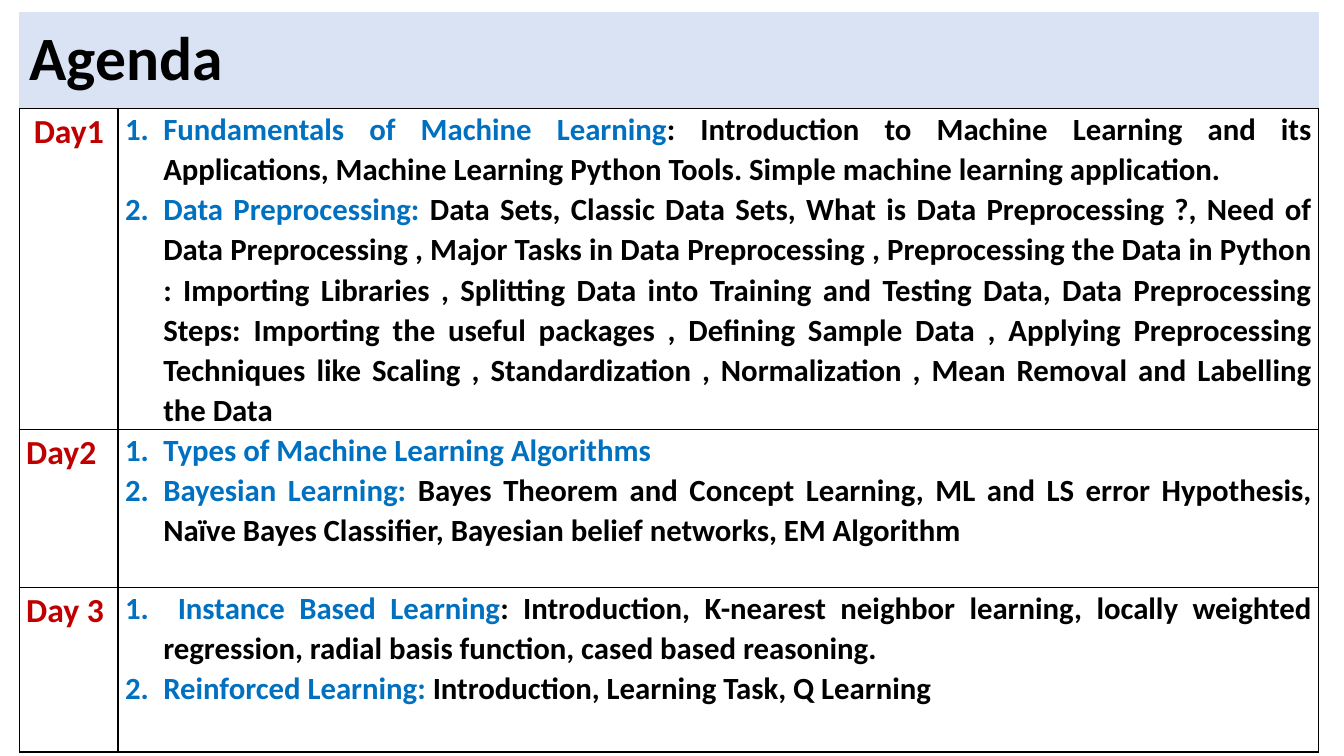
"""Build the three-day machine learning agenda slide."""
from lxml import etree
from pptx import Presentation
from pptx.dml.color import RGBColor
from pptx.enum.text import MSO_ANCHOR, MSO_AUTO_SIZE, PP_ALIGN
from pptx.oxml.ns import qn
from pptx.util import Inches, Pt

JUSTIFY, LEFT = PP_ALIGN.JUSTIFY, PP_ALIGN.LEFT
MIDDLE = MSO_ANCHOR.MIDDLE
NO_AUTOFIT = MSO_AUTO_SIZE.NONE

FONT = "Calibri"
BLACK, RED, BLUE, PALE_BLUE = "000000", "C00000", "0070C0", "DAE3F3"

TITLE = "Agenda"
AGENDA = [
    (" Day1", 2.95, [
        ("Fundamentals of Machine Learning",
         ": Introduction to Machine Learning and its Applications, Machine Learning "
         "Python Tools. Simple machine learning application. "),
        ("Data Preprocessing: ",
         "Data Sets, Classic Data Sets, What is Data Preprocessing ?, Need of Data "
         "Preprocessing , Major Tasks in Data Preprocessing , Preprocessing the Data in "
         "Python : Importing Libraries , Splitting Data into Training and Testing Data, "
         "Data Preprocessing Steps: Importing the useful packages , Defining Sample Data , "
         "Applying Preprocessing Techniques like Scaling , Standardization , "
         "Normalization , Mean Removal and Labelling the Data "),
    ]),
    ("Day2 ", 1.57, [
        ("Types of Machine Learning Algorithms ", ""),
        ("Bayesian Learning: ",
         "Bayes Theorem and Concept Learning, ML and LS error Hypothesis, Naïve Bayes "
         "Classifier, Bayesian belief networks, EM Algorithm "),
    ]),
    ("Day 3", 1.63, [
        (" Instance Based Learning",
         ": Introduction, K-nearest neighbor learning, locally weighted regression, "
         "radial basis function, cased based reasoning."),
        ("Reinforced Learning: ", "Introduction, Learning Task, Q Learning "),
    ]),
]

EDGE, TOP, TITLE_HEIGHT = 0.19, 0.12, 0.96
COLUMNS = (0.98, 11.91)
CELL_INSET, INDENT = 0.07, 0.38


def color(value):
    return RGBColor.from_string(value)


def add_run(paragraph, text, size, text_color):
    run = paragraph.add_run()
    run.text = text
    run.font.name = FONT
    run.font.size = Pt(size)
    run.font.bold = True
    run.font.color.rgb = color(text_color)


def number_paragraph(paragraph):
    properties = paragraph._p.get_or_add_pPr()
    properties.set("marL", str(Inches(INDENT)))
    properties.set("indent", str(-Inches(INDENT)))
    etree.SubElement(properties, qn("a:buFont"), typeface="+mj-lt")
    etree.SubElement(properties, qn("a:buAutoNum"), type="arabicPeriod")


def format_cell(cell):
    cell.margin_left = cell.margin_right = Inches(CELL_INSET)
    cell.margin_top = cell.margin_bottom = 0
    properties = cell._tc.get_or_add_tcPr()
    for side in ("lnL", "lnR", "lnT", "lnB"):
        line = etree.SubElement(properties, qn(f"a:{side}"), w=str(Pt(1)))
        fill = etree.SubElement(line, qn("a:solidFill"))
        etree.SubElement(fill, qn("a:srgbClr"), val=BLACK)
    cell.fill.background()


def add_title(slide):
    title = slide.shapes.title
    title.left, title.top = Inches(EDGE), Inches(TOP)
    title.width, title.height = Inches(sum(COLUMNS)), Inches(TITLE_HEIGHT)
    title.fill.solid()
    title.fill.fore_color.rgb = color(PALE_BLUE)
    frame = title.text_frame
    frame.auto_size = NO_AUTOFIT
    frame.vertical_anchor = MIDDLE
    paragraph = frame.paragraphs[0]
    paragraph.alignment = LEFT
    paragraph.line_spacing = 0.9
    add_run(paragraph, TITLE, 44, BLACK)


def add_agenda(slide):
    height = sum(row_height for _, row_height, _ in AGENDA)
    table = slide.shapes.add_table(
        len(AGENDA), len(COLUMNS), Inches(EDGE), Inches(TOP + TITLE_HEIGHT),
        Inches(sum(COLUMNS)), Inches(height)).table
    table.first_row = table.horz_banding = False
    for column, width in zip(table.columns, COLUMNS):
        column.width = Inches(width)
    for row, (day, row_height, topics) in zip(table.rows, AGENDA):
        row.height = Inches(row_height)
        day_cell, topics_cell = row.cells
        format_cell(day_cell)
        format_cell(topics_cell)
        paragraph = day_cell.text_frame.paragraphs[0]
        paragraph.alignment = JUSTIFY
        paragraph.line_spacing = 1.07
        paragraph.space_after = Pt(8)
        add_run(paragraph, day, 24, RED)
        frame = topics_cell.text_frame
        for index, (heading, details) in enumerate(topics):
            paragraph = frame.add_paragraph() if index else frame.paragraphs[0]
            number_paragraph(paragraph)
            paragraph.alignment = JUSTIFY
            paragraph.line_spacing = 1.07
            add_run(paragraph, heading, 22, BLUE)
            if details:
                add_run(paragraph, details, 22, BLACK)


def main():
    presentation = Presentation()
    presentation.slide_width, presentation.slide_height = Inches(13.33), Inches(7.5)
    slide = presentation.slides.add_slide(presentation.slide_layouts[5])
    add_title(slide)
    add_agenda(slide)
    presentation.save("out.pptx")


if __name__ == "__main__":
    main()
